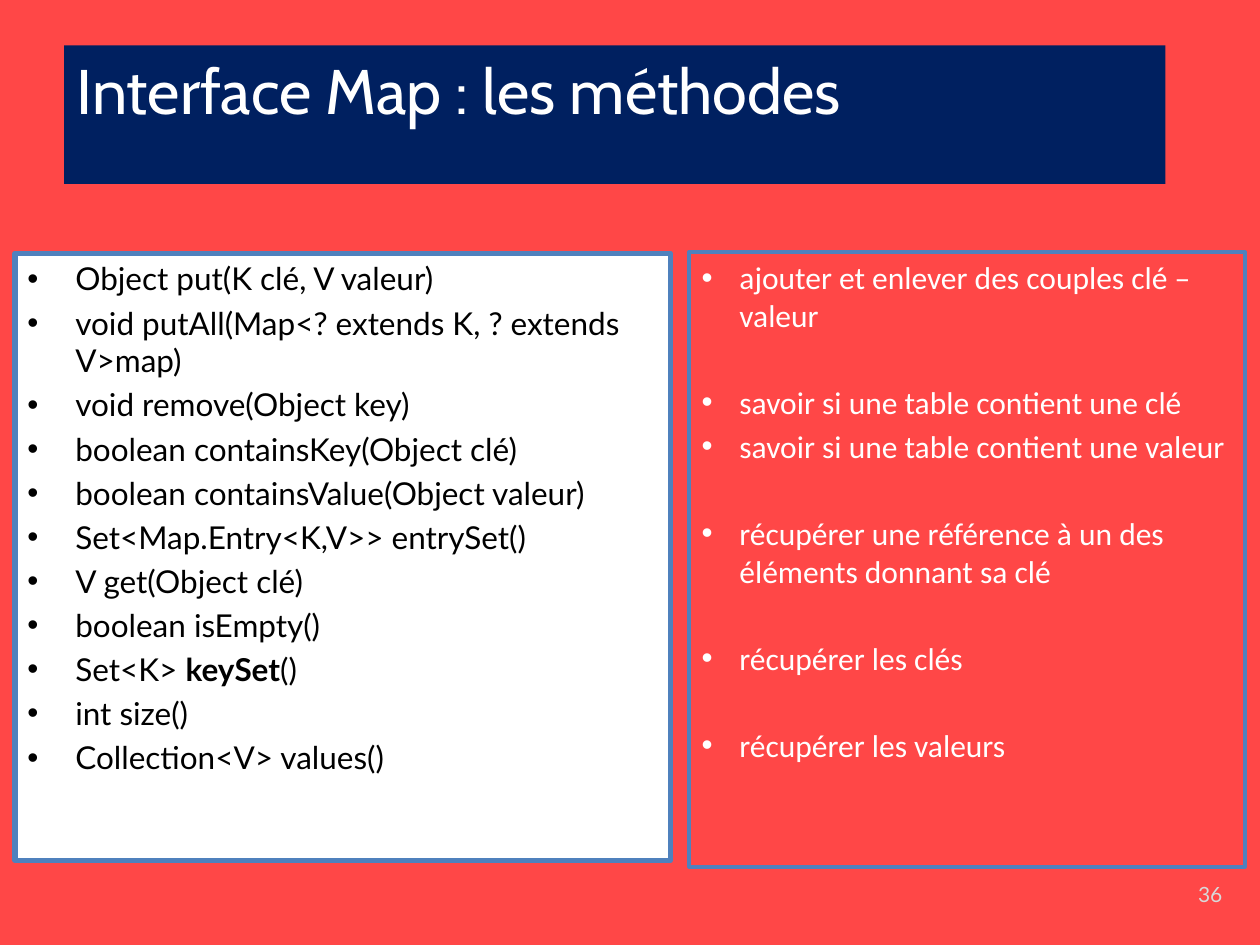
from pptx import Presentation
from pptx.dml.color import RGBColor
from pptx.enum.shapes import MSO_SHAPE
from pptx.enum.text import MSO_ANCHOR, PP_ALIGN
from pptx.oxml.ns import qn
from pptx.util import Inches, Pt
from lxml.etree import SubElement

WHITE, BLUE = "FFFFFF", "4F81BD"

METHODS = [
    "Object put(K clé, V valeur)",
    "void putAll(Map<? extends K, ? extends V>map)",
    "void remove(Object key)",
    "boolean containsKey(Object clé)",
    "boolean containsValue(Object valeur)",
    "Set<Map.Entry<K,V>> entrySet()",
    "V get(Object clé)",
    "boolean isEmpty()",
    ["Set<K> ", "*keySet", "()"],
    "int size()",
    "Collection<V> values()",
]

# Each use, and whether a wide gap comes before it
USES = [
    ("ajouter et enlever des couples clé – valeur", False),
    ("savoir si une table contient une clé", True),
    ("savoir si une table contient une valeur", False),
    ("récupérer une référence à un des éléments donnant sa clé", True),
    ("récupérer les clés", True),
    ("récupérer les valeurs", True),
]


def color(code):
    return RGBColor.from_string(code)


def add_box(slide, left, top, width, height, fill=None, line=None, weight=1):
    box = slide.shapes.add_shape(MSO_SHAPE.RECTANGLE, Inches(left), Inches(top),
                                 Inches(width), Inches(height))
    box.shadow.inherit = False
    if fill:
        box.fill.solid()
        box.fill.fore_color.rgb = color(fill)
    else:
        box.fill.background()
    if line:
        box.line.color.rgb = color(line)
        box.line.width = Pt(weight)
    else:
        box.line.fill.background()
    return box


def add_bullet(para, indent):
    props = para._p.get_or_add_pPr()
    props.set("marL", str(Inches(indent)))
    props.set("indent", str(-Inches(indent)))
    SubElement(props, qn("a:buFont")).set("typeface", "Arial")
    SubElement(props, qn("a:buChar")).set("char", "•")


def add_text(box, text, font="Lato", size=18, ink=WHITE, align=PP_ALIGN.LEFT,
             before=0, indent=None):
    """Add a paragraph; a list gives runs, and a leading * makes one bold."""
    frame = box.text_frame
    frame.word_wrap = True
    frame.vertical_anchor = MSO_ANCHOR.TOP
    para = frame.paragraphs[0]
    if para.runs:
        para = frame.add_paragraph()
    para.alignment = align
    para.space_before = Pt(before)
    if indent:
        add_bullet(para, indent)
    for part in [text] if isinstance(text, str) else text:
        run = para.add_run()
        run.text = part.removeprefix("*")
        run.font.bold = part.startswith("*")
        run.font.name = font
        run.font.size = Pt(size)
        run.font.color.rgb = color(ink)


def main():
    deck = Presentation()
    deck.slide_width, deck.slide_height = Inches(10), Inches(7.5)
    slide = deck.slides.add_slide(deck.slide_layouts[6])
    slide.background.fill.solid()
    slide.background.fill.fore_color.rgb = color("FF4747")

    # Title band
    title = add_box(slide, 0.51, 0.36, 8.74, 1.1, fill="002060")
    add_text(title, "Interface Map : les méthodes", font="Cabin", size=36)

    # Slide number
    number = slide.shapes.add_textbox(Inches(8.78), Inches(6.95),
                                      Inches(1.02), Inches(0.4))
    add_text(number, "36", size=12, ink="D9D9D9", align=PP_ALIGN.RIGHT)

    # What the methods are for
    uses = add_box(slide, 5.47, 2, 4.41, 4.88, line=BLUE, weight=2.25)
    for text, gap in USES:
        add_text(uses, text, font="Calibri", indent=0.3,
                 before=28.2 if gap else 3.2)

    # Method list
    methods = add_box(slide, 0.12, 2.01, 5.2, 4.82, fill=WHITE, line=BLUE, weight=3)
    for text in METHODS:
        add_text(methods, text, ink="000000", indent=0.38, before=3.6)

    deck.save("out.pptx")


if __name__ == "__main__":
    main()
